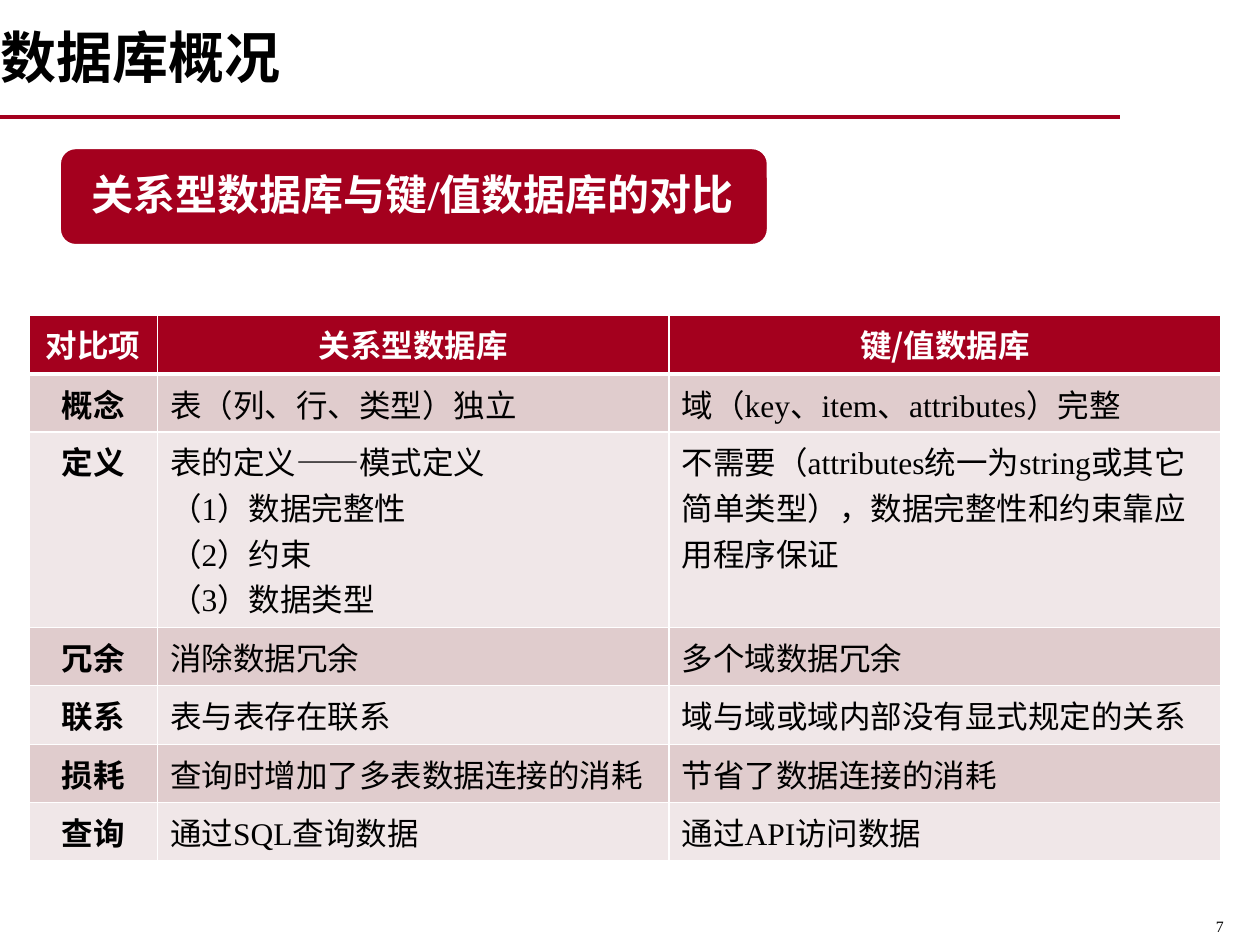
from lxml.etree import SubElement
from pptx import Presentation
from pptx.dml.color import RGBColor
from pptx.enum.shapes import MSO_CONNECTOR as Connector, MSO_SHAPE as Shape
from pptx.enum.text import MSO_ANCHOR as Anchor, MSO_AUTO_SIZE as AutoSize, PP_ALIGN as Align
from pptx.oxml import parse_xml
from pptx.oxml.ns import nsdecls, qn
from pptx.util import Inches, Pt

COLORS = {
    "red": "A4001E",
    "white": "FFFFFF",
    "black": "000000",
    "rose": "E0CCCD",
    "pale": "F0E7E8",
}
SANS = "Noto Sans CJK SC"
SERIF = "Times New Roman"
COLUMN_WIDTHS = [1.02, 4.06, 4.38]
ROW_HEIGHTS = [0.47, 0.46, 1.55, 0.46, 0.47, 0.46, 0.46]
COMPARISON = [
    ["对比项", "关系型数据库", "键/值数据库"],
    ["概念", "表（列、行、类型）独立", "域（key、item、attributes）完整"],
    [
        "定义",
        "表的定义——模式定义\n（1）数据完整性\n（2）约束\n（3）数据类型",
        "不需要（attributes统一为string或其它简单类型），数据完整性和约束靠应用程序保证",
    ],
    ["冗余", "消除数据冗余", "多个域数据冗余"],
    ["联系", "表与表存在联系", "域与域或域内部没有显式规定的关系"],
    ["损耗", "查询时增加了多表数据连接的消耗", "节省了数据连接的消耗"],
    ["查询", "通过SQL查询数据", "通过API访问数据"],
]


def color(name):
    return RGBColor.from_string(COLORS[name])


def apply(target, values):
    for name, value in values.items():
        setattr(target, name, value)


def write(frame, text, size, ink, font=SERIF, bold=False, **layout):
    frame.text = text
    for para in frame.paragraphs:
        apply(para, layout)
        for span in para.runs:
            apply(span.font, {"size": Pt(size), "name": font, "bold": bold})
            span.font.color.rgb = color(ink)
            SubElement(span.font._element, qn("a:ea"), typeface=SANS)


def add_title(page, text):
    title = page.shapes.title
    apply(title, {"left": 0, "top": 0, "width": Inches(10), "height": Inches(0.94)})
    frame = title.text_frame
    apply(frame, {"margin_left": 0, "vertical_anchor": Anchor.MIDDLE,
                  "auto_size": AutoSize.NONE})
    write(frame, text, 32, "black", SANS, True, alignment=Align.LEFT, line_spacing=0.95)


def add_rule(page, width, top):
    rule = page.shapes.add_connector(
        Connector.STRAIGHT, 0, Inches(top), Inches(width), Inches(top))
    rule.line.color.rgb = color("red")
    rule.line.width = Pt(2.25)
    SubElement(rule._element.spPr, qn("a:effectLst"))


def add_text(page, place, text, size, ink, anchor, **style):
    box = page.shapes.add_textbox(*map(Inches, place))
    apply(box.text_frame, {"word_wrap": True, "vertical_anchor": anchor})
    write(box.text_frame, text, size, ink, **style)


def add_banner(page, text):
    place = map(Inches, (0.47, 1.17, 5.63, 0.78))
    plate = page.shapes.add_shape(Shape.ROUNDED_RECTANGLE, *place)
    plate.shadow.inherit = False
    plate.fill.solid()
    plate.fill.fore_color.rgb = color("red")
    plate.line.color.rgb = color("white")
    plate.line.width = Pt(2)
    add_text(page, (0.53, 1.21, 5.49, 0.7), text, 24, "white", Anchor.MIDDLE,
             bold=True, alignment=Align.CENTER, line_spacing=0.9)


def set_borders(cell, widths):
    properties = cell._tc.get_or_add_tcPr()
    for index, (side, width) in enumerate(widths.items()):
        properties.insert(index, parse_xml(
            f'<a:ln{side} {nsdecls("a")} w="{Pt(width)}"><a:solidFill>'
            f'<a:srgbClr val="{COLORS["white"]}"/></a:solidFill></a:ln{side}>'))


def fill_cell(cell, text, row, column):
    header = row == 0
    band = "red" if header else ("pale", "rose")[row % 2]
    cell.fill.solid()
    cell.fill.fore_color.rgb = color(band)
    set_borders(cell, {"L": 1, "R": 1, "T": 3 if row == 1 else 1, "B": 3 if header else 1})
    label = header or column == 0
    write(cell.text_frame, text, 18, "white" if header else "black",
          SANS if header else SERIF, label,
          alignment=Align.CENTER if label else Align.LEFT)


def add_comparison(page):
    place = map(Inches, (0.23, 2.5, sum(COLUMN_WIDTHS), sum(ROW_HEIGHTS)))
    table = page.shapes.add_table(len(ROW_HEIGHTS), len(COLUMN_WIDTHS), *place).table
    for column, width in zip(table.columns, COLUMN_WIDTHS):
        column.width = Inches(width)
    for row, height in zip(table.rows, ROW_HEIGHTS):
        row.height = Inches(height)
    for row, texts in enumerate(COMPARISON):
        for column, text in enumerate(texts):
            fill_cell(table.cell(row, column), text, row, column)


def main():
    deck = Presentation()
    apply(deck, {"slide_width": Inches(10), "slide_height": Inches(7.5)})
    page = deck.slides.add_slide(deck.slide_layouts[5])
    add_rule(page, 8.89, 0.93)
    add_text(page, (6.35, 7.23, 3.46, 0.25), "7", 9, "black", Anchor.TOP,
             alignment=Align.RIGHT)
    add_title(page, "数据库概况")
    add_comparison(page)
    add_banner(page, "关系型数据库与键/值数据库的对比")
    deck.save("out.pptx")


if __name__ == "__main__":
    main()
